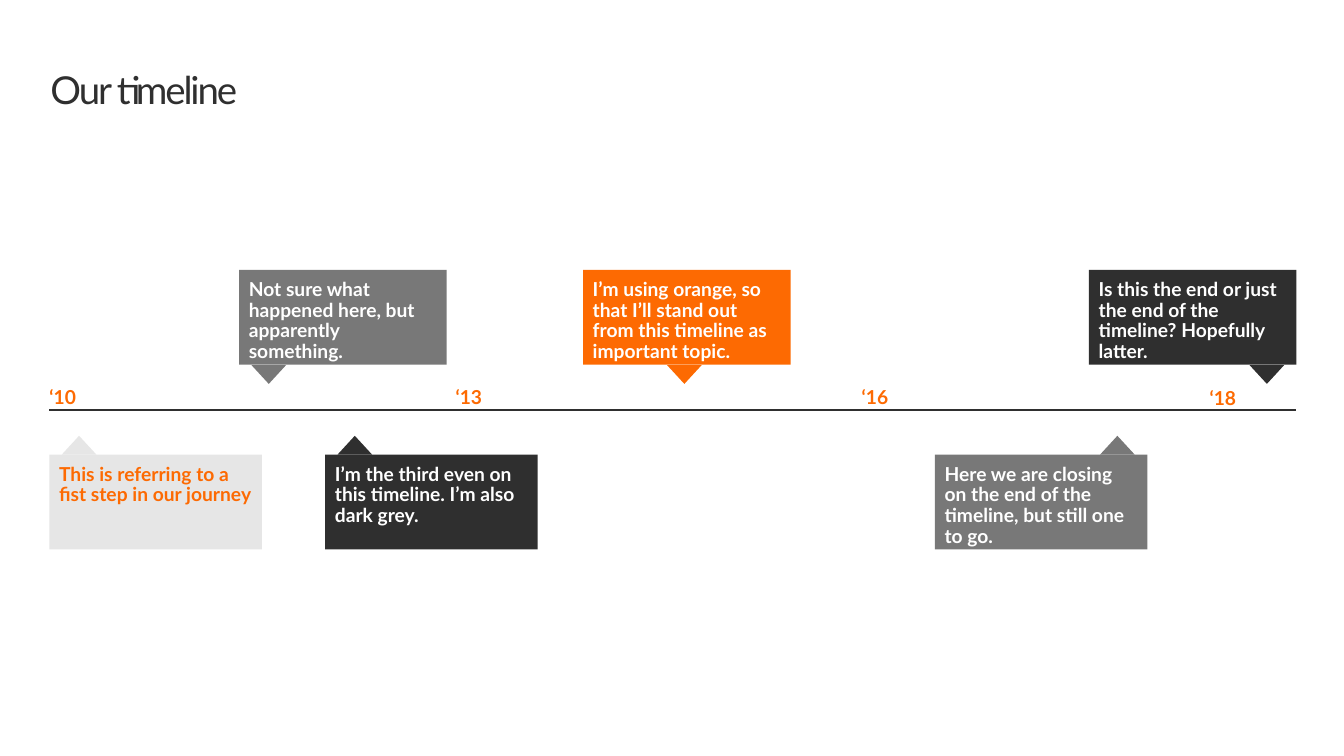
from pptx import Presentation
from pptx.dml.color import RGBColor
from pptx.enum.shapes import MSO_CONNECTOR as CONNECTOR, MSO_SHAPE as SHAPE
from pptx.enum.text import MSO_ANCHOR as ANCHOR, MSO_AUTO_SIZE as AUTO_SIZE, PP_ALIGN as ALIGN
from pptx.oxml.ns import qn
from pptx.util import Pt

COLORS = {"orange": "FD6A02", "dark": "2F2F2F", "grey": "787878",
          "light": "E6E6E6", "white": "FFFFFF"}

LEFT, RIGHT, AXIS_Y = 36, 944.6, 298.8
BOX_HEIGHT = 69.1
POINTER_WIDTH, POINTER_HEIGHT = 25.2, 13.7


def write(box, text, color="white", size=14, bold=True, inset=0, wrap=True,
          line_spacing=0.9, space_after=0, tracking=0):
    frame = box.text_frame
    frame.word_wrap = wrap
    frame.auto_size = AUTO_SIZE.NONE
    frame.vertical_anchor = ANCHOR.TOP
    frame.margin_left = frame.margin_right = Pt(inset)
    frame.margin_top = frame.margin_bottom = Pt(inset)
    para = frame.paragraphs[0]
    para.alignment = ALIGN.LEFT
    para.line_spacing = line_spacing
    para.space_before, para.space_after = Pt(0), Pt(space_after)
    span = para.add_run()
    span.text = text
    span.font.name, span.font.size, span.font.bold = "Lato", Pt(size), bold
    span.font.color.rgb = RGBColor.from_string(COLORS[color])
    if tracking:
        span.font._element.set("spc", str(int(tracking * 100)))


def add_block(kind, left, top, width, height, color):
    """Add a flat, borderless shape in one colour."""
    block = page.shapes.add_shape(kind, Pt(left), Pt(top), Pt(width), Pt(height))
    block.shadow.inherit = False
    block.fill.solid()
    block.fill.fore_color.rgb = RGBColor.from_string(COLORS[color])
    block.line.fill.background()
    return block


deck = Presentation()
deck.slide_width, deck.slide_height = Pt(979.2), Pt(550.8)
page = deck.slides.add_slide(deck.slide_layouts[5])

title = page.shapes.title
title.left, title.top, title.width, title.height = Pt(36.7), Pt(49.7), Pt(907.9), Pt(32.4)
write(title, "Our timeline", color="dark", size=28, bold=False,
      line_spacing=Pt(32), tracking=-1.5)

# Each row: box top, pointer top, box width, pointer rotation, events.
# Each event: box left, pointer offset, fill, text colour, text.
rows = [
    (196.6, 266, 151.2, 180, [
        (174.2, 9, "grey", "white",
         "Not sure what happened here, but apparently something."),
        (424.8, 61.2, "orange", "white",
         "I’m using orange, so that I’ll stand out from this timeline as important topic."),
        (793.4, 117, "dark", "white",
         "Is this the end or just the end of the timeline? Hopefully latter."),
    ]),
    (331.2, 317.5, 154.8, 0, [
        (36, 9, "light", "orange", "This is referring to a fist step in our journey"),
        (236.9, 9, "dark", "white",
         "I’m the third even on this timeline. I’m also dark grey."),
        (681.1, 120.4, "grey", "white",
         "Here we are closing on the end of the timeline, but still one to go."),
    ]),
]
for box_top, pointer_top, box_width, rotation, events in rows:
    for left, offset, fill, text_color, text in events:
        box = add_block(SHAPE.RECTANGLE, left, box_top, box_width, BOX_HEIGHT, fill)
        write(box, text, color=text_color, inset=7.2)
        pointer = add_block(SHAPE.ISOSCELES_TRIANGLE, left + offset, pointer_top,
                            POINTER_WIDTH, POINTER_HEIGHT, fill)
        pointer.rotation = rotation

axis = page.shapes.add_connector(CONNECTOR.STRAIGHT, Pt(LEFT), Pt(AXIS_Y), Pt(RIGHT), Pt(AXIS_Y))
axis.line.color.rgb = RGBColor.from_string(COLORS["dark"])
axis.line.width = Pt(1.5)
axis._element.spPr.append(axis._element.spPr.makeelement(qn("a:effectLst"), {}))

years = [("‘10", 36, 281.5), ("‘13", 331.9, 281.5), ("‘16", 627.8, 281.5), ("‘18", 881.3, 282.2)]
for year, left, top in years:
    label = page.shapes.add_textbox(Pt(left), Pt(top), Pt(20.2), Pt(15.8))
    write(label, year, color="orange", wrap=False, line_spacing=Pt(16), space_after=6)

deck.save("out.pptx")
